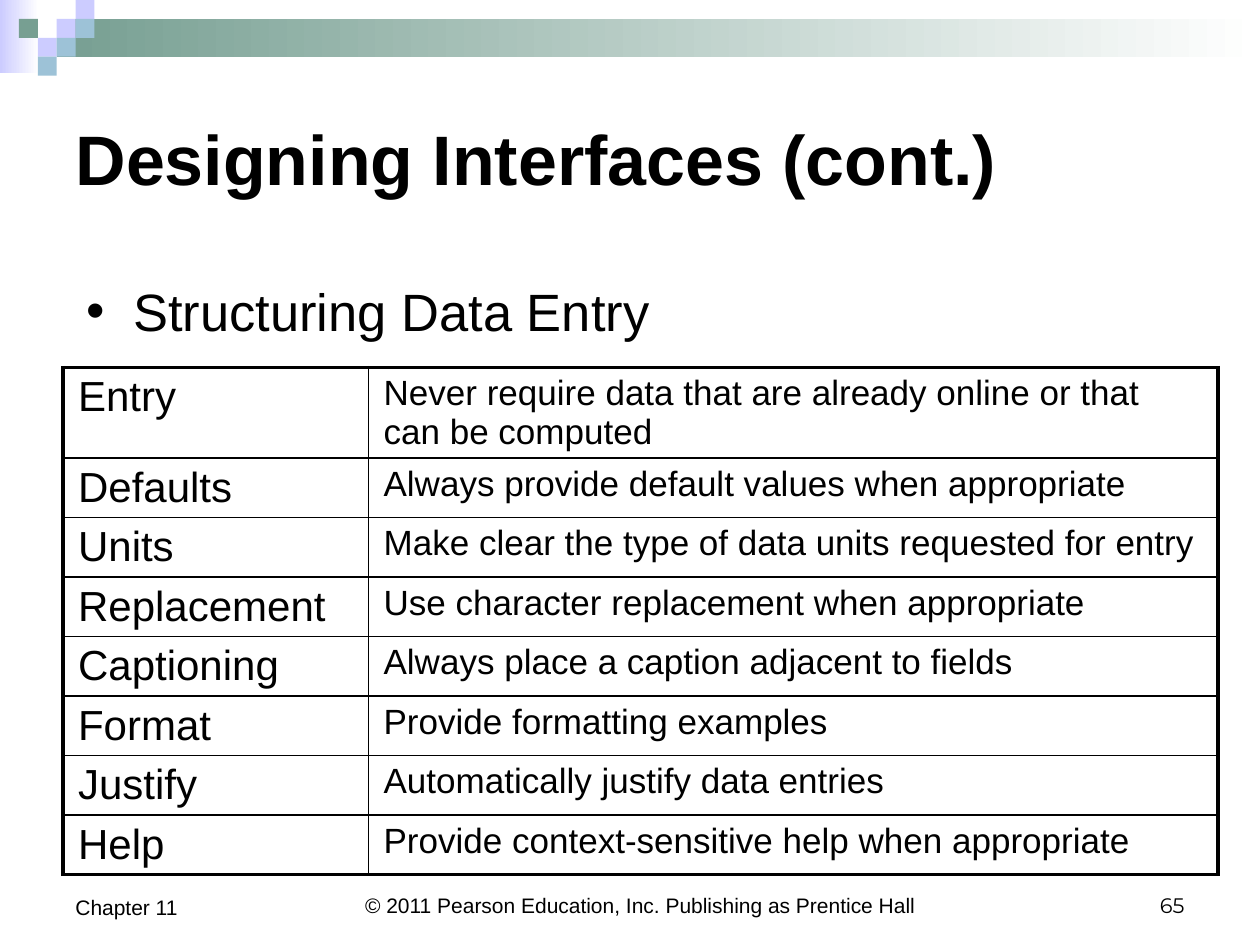
from lxml.etree import SubElement
from pptx import Presentation
from pptx.dml.color import RGBColor
from pptx.enum.shapes import MSO_SHAPE
from pptx.enum.text import MSO_ANCHOR, MSO_AUTO_SIZE, PP_ALIGN
from pptx.oxml import parse_xml
from pptx.oxml.ns import nsdecls, qn
from pptx.util import Inches, Pt

HUES = {"ink": "000000", "lilac": "CCCCFF", "sage": "779F92",
        "sky": "9DC2D7", "white": "FFFFFF"}
TILE = 1.8
TILES = [(3, 1, "lilac"), (4, 0, "lilac"), (4, 1, "sky"), (2, 2, "lilac"),
         (1, 1, "sage"), (3, 2, "sky"), (2, 3, "sky")]
RULES = [
    ("Entry", "Never require data that are already online or that can be computed"),
    ("Defaults", "Always provide default values when appropriate"),
    ("Units", "Make clear the type of data units requested for entry"),
    ("Replacement", "Use character replacement when appropriate"),
    ("Captioning", "Always place a caption adjacent to fields"),
    ("Format", "Provide formatting examples"),
    ("Justify", "Automatically justify data entries"),
    ("Help", "Provide context-sensitive help when appropriate"),
]
NOTES = [
    ("© 2011 Pearson Education, Inc. Publishing as Prentice Hall",
     (30, 82, 62, 6), PP_ALIGN.CENTER, "Arial"),
    ("65", (86, 82, 28, 6), PP_ALIGN.RIGHT, "Montserrat"),
    ("Chapter 11", (6, 82, 28, 6.2), PP_ALIGN.LEFT, "Arial"),
]


def rgb(hue):
    return RGBColor.from_string(HUES[hue])


def cells(count):
    """Length of a number of grid cells, twelve to the inch."""
    return Inches(count / 12)


class Deck:
    font = "Arial"

    def __init__(self):
        self.prs = Presentation()
        self.prs.slide_width, self.prs.slide_height = cells(120), cells(90)
        self.slide = self.prs.slides.add_slide(self.prs.slide_layouts[1])

    def label(self, frame, text, size, align=PP_ALIGN.LEFT, **style):
        frame.text = text
        para = frame.paragraphs[0]
        para.alignment = align
        para.space_before = Pt(0)
        form = {"name": self.font, "size": Pt(size), "bold": False} | style
        for key, value in form.items():
            setattr(para.font, key, value)
        para.font.color.rgb = rgb("ink")

    def place(self, holder, box):
        for key, value in zip(("left", "top", "width", "height"), box):
            setattr(holder, key, cells(value))

    def title(self, text, box):
        holder = self.slide.shapes.title
        self.place(holder, box)
        frame = holder.text_frame
        frame.auto_size = MSO_AUTO_SIZE.NONE
        frame.vertical_anchor = MSO_ANCHOR.MIDDLE
        self.label(frame, text, 40, bold=True)

    def bullet(self, text, box):
        holder = self.slide.placeholders[1]
        self.place(holder, box)
        frame = holder.text_frame
        frame.auto_size = MSO_AUTO_SIZE.NONE
        frame.word_wrap = False
        props = frame.paragraphs[0]._p.get_or_add_pPr()
        indent = Inches(0.38)
        props.set("marL", str(indent))
        props.set("indent", str(-indent))
        SubElement(SubElement(props, qn("a:buClr")), qn("a:srgbClr"), val=HUES["sage"])
        SubElement(props, qn("a:buSzPct"), val="75000")
        SubElement(props, qn("a:buFont"), typeface=self.font)
        SubElement(props, qn("a:buChar"), char="■")
        self.label(frame, text, 30)

    def block(self, box, hue, fade=False):
        shape = self.slide.shapes.add_shape(MSO_SHAPE.RECTANGLE, *map(cells, box))
        shape.shadow.inherit = False
        shape.line.fill.background()
        if not fade:
            shape.fill.solid()
            shape.fill.fore_color.rgb = rgb(hue)
            return
        shape.fill.gradient()
        shape.fill.gradient_angle = 0
        for stop, tone in zip(shape.fill.gradient_stops, (hue, "white")):
            stop.color.rgb = rgb(tone)

    def note(self, text, box, align, font):
        frame = self.slide.shapes.add_textbox(*map(cells, box)).text_frame
        frame.word_wrap = True
        frame.vertical_anchor = MSO_ANCHOR.BOTTOM
        self.label(frame, text, 12, align, name=font)

    def edge(self, cell, sides):
        """Draw cell borders; sides maps L, R, T and B to points."""
        props = cell._tc.get_or_add_tcPr()
        for spot, (side, width) in enumerate(sides.items()):
            props.insert(spot, parse_xml(
                f'<a:ln{side} {nsdecls("a")} w="{Pt(width)}"><a:solidFill>'
                f'<a:srgbClr val="{HUES["ink"]}"/></a:solidFill></a:ln{side}>'))

    def table(self, rows, box, wide, high):
        last, end = len(rows) - 1, len(wide) - 1
        grid = self.slide.shapes.add_table(
            len(rows), len(wide), *map(cells, box)).table
        grid.first_row = grid.horz_banding = False
        for col, width in zip(grid.columns, wide):
            col.width = cells(width)
        for r, row in enumerate(rows):
            grid.rows[r].height = cells(high[min(r, 1)])
            for c, text in enumerate(row):
                cell = grid.cell(r, c)
                cell.fill.background()
                cell.margin_left = cell.margin_right = Inches(0.12)
                self.label(cell.text_frame, text, (24, 20)[c])
                outer = {"L": c == 0, "R": c == end, "T": r == 0, "B": r == last}
                self.edge(cell, {k: 2.25 if out else 1 for k, out in outer.items()})


def main():
    deck = Deck()
    deck.block((0, 0, 3.7, 7), "lilac", fade=True)
    deck.block((5.4, TILE, 114.6, 3.6), "sage", fade=True)
    for col, row, hue in TILES:
        deck.block((col * TILE, row * TILE, TILE, TILE), hue)
    deck.title("Designing Interfaces (cont.)", (6, 6, 108, 18))
    deck.bullet("Structuring Data Entry", (7, 26, 56.6, 7.3))
    deck.table(RULES, (6, 35, 110, 48.2), (29.1, 80.9), (8.64, 5.66))
    for note in NOTES:
        deck.note(*note)
    deck.prs.save("out.pptx")


if __name__ == "__main__":
    main()
